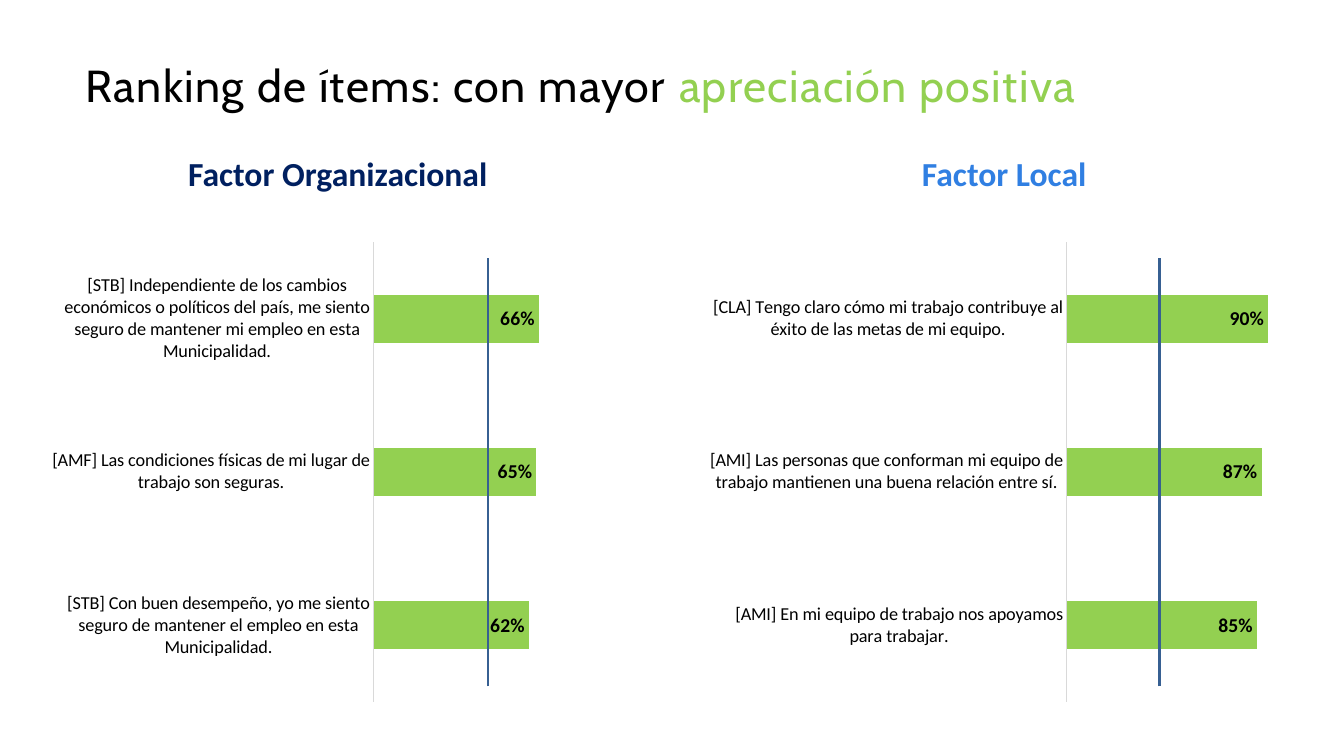
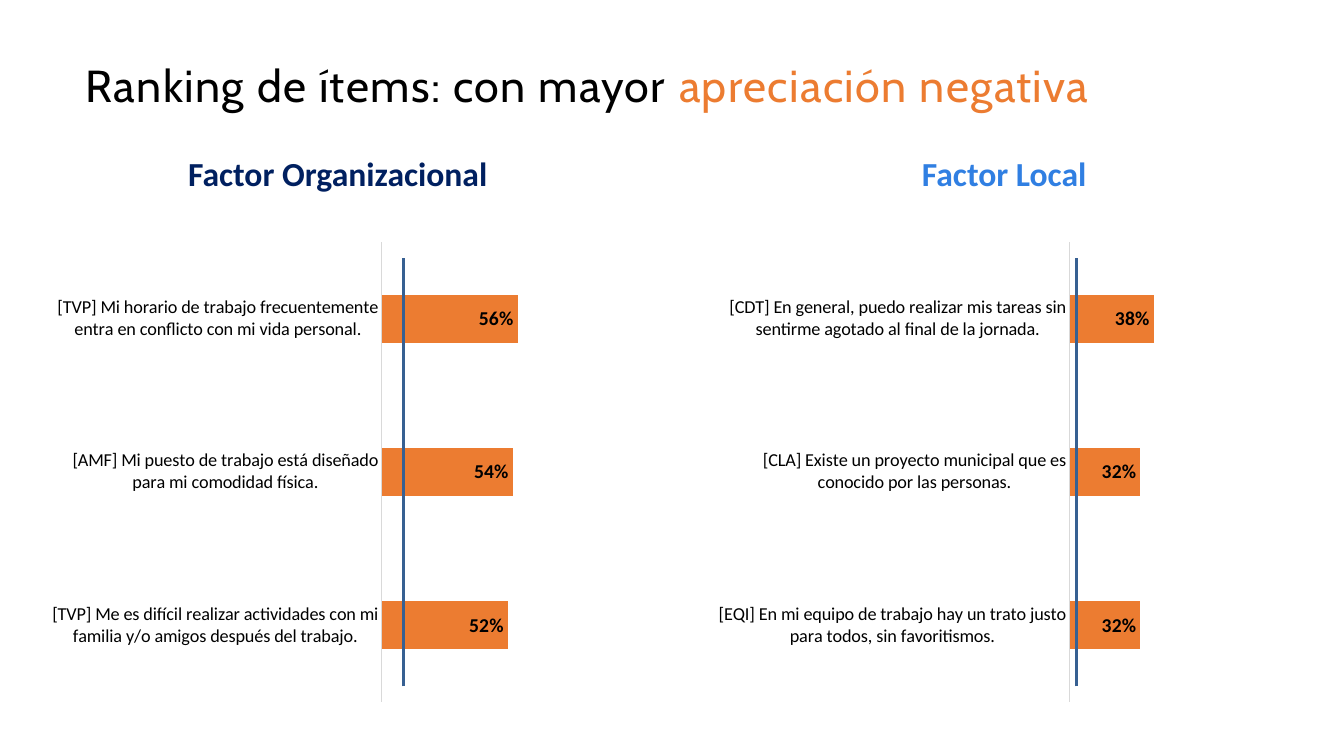
"""Build two ranking slides that compare organisational and local survey items."""
from dataclasses import dataclass

import pptx
import pptx.chart.chart
import pptx.chart.data
import pptx.dml.color
import pptx.enum.chart
import pptx.enum.shapes
import pptx.enum.text
import pptx.oxml
import pptx.oxml.ns
import pptx.slide
import pptx.text.text
import pptx.util

Inches = pptx.util.Inches
Pt = pptx.util.Pt
RGB = pptx.dml.color.RGBColor.from_string


@dataclass(frozen=True)
class Theme:
    title_font: str = "Cabin"
    body_font: str = "Calibri"
    black: str = "000000"
    navy: str = "002060"
    blue: str = "307FE2"
    green: str = "93D051"
    orange: str = "EC7C31"
    axis: str = "D9D9D9"
    marker: str = "376092"
    title_size: float = 32
    heading_size: float = 24
    label_size: float = 14
    category_size: float = 13


@dataclass(frozen=True)
class Column:
    heading: str
    color: str
    heading_left: float
    chart_left: float


@dataclass(frozen=True)
class Panel:
    column: Column
    marker_x: float
    items: tuple[tuple[str, float], ...]


@dataclass(frozen=True)
class Ranking:
    emphasis: str
    color: str
    panels: tuple[Panel, ...]


THEME = Theme()
ORGANIZATION = Column("Factor Organizacional", THEME.navy, 0.83, 0.4)
LOCAL = Column("Factor Local", THEME.blue, 7.44, 7.01)

RANKINGS = (
    Ranking("apreciación positiva", THEME.green, (
        Panel(ORGANIZATION, 4.84, (
            ("[STB] Independiente de los cambios económicos o políticos del país, "
             "me siento seguro de mantener mi empleo en esta Municipalidad.", 0.66),
            ("[AMF] Las condiciones físicas de mi lugar de trabajo son seguras.", 0.65),
            ("[STB] Con buen desempeño, yo me siento seguro de mantener el empleo "
             "en esta Municipalidad.", 0.62),
        )),
        Panel(LOCAL, 11.5, (
            ("[CLA] Tengo claro cómo mi trabajo contribuye al éxito de las metas "
             "de mi equipo.", 0.90),
            ("[AMI] Las personas que conforman mi equipo de trabajo mantienen una "
             "buena relación entre sí.", 0.87),
            ("[AMI] En mi equipo de trabajo nos apoyamos para trabajar.", 0.85),
        )),
    )),
    Ranking("apreciación negativa", THEME.orange, (
        Panel(ORGANIZATION, 4, (
            ("[TVP] Mi horario de trabajo frecuentemente entra en conflicto con "
             "mi vida personal.", 0.56),
            ("[AMF] Mi puesto de trabajo está diseñado para mi comodidad física.", 0.54),
            ("[TVP] Me es difícil realizar actividades con mi familia y/o amigos "
             "después del trabajo.", 0.52),
        )),
        Panel(LOCAL, 10.68, (
            ("[CDT] En general, puedo realizar mis tareas sin sentirme agotado "
             "al final de la jornada.", 0.38),
            ("[CLA] Existe un proyecto municipal que es conocido por las personas.", 0.32),
            ("[EQI] En mi equipo de trabajo hay un trato justo para todos, "
             "sin favoritismos.", 0.32),
        )),
    )),
)


def style_font(font: pptx.text.text.Font, *, size: float, color: str = THEME.black,
               name: str = THEME.body_font, bold: bool = False) -> None:
    font.name = name
    font.size = Pt(size)
    font.bold = bold
    font.color.rgb = RGB(color)


def add_text(s: pptx.slide.Slide, runs: tuple[tuple[str, str], ...], *,
             left: float, top: float, width: float, height: float, size: float,
             name: str = THEME.body_font, bold: bool = False, centered: bool = False,
             inset: bool = True, tracking: float = 0) -> None:
    tf = s.shapes.add_textbox(
        Inches(left), Inches(top), Inches(width), Inches(height)).text_frame
    tf.word_wrap = True
    tf.vertical_anchor = pptx.enum.text.MSO_ANCHOR.MIDDLE
    if not inset:
        tf.margin_left = tf.margin_right = tf.margin_top = tf.margin_bottom = 0
    p = tf.paragraphs[0]
    p.line_spacing = 0.9
    if centered:
        p.alignment = pptx.enum.text.PP_ALIGN.CENTER
    for text, color in runs:
        r = p.add_run()
        r.text = text
        style_font(r.font, size=size, color=color, name=name, bold=bold)
        if tracking:
            r._r.get_or_add_rPr().set("spc", str(round(tracking * 100)))


def style_axes(chart: pptx.chart.chart.Chart) -> None:
    cat = chart.category_axis
    cat.major_tick_mark = cat.minor_tick_mark = pptx.enum.chart.XL_TICK_MARK.NONE
    cat.format.line.color.rgb = RGB(THEME.axis)
    cat.format.line.width = Pt(0.75)
    style_font(cat.tick_labels.font, size=THEME.category_size)
    val = chart.value_axis
    val.minimum_scale, val.maximum_scale = 0, 1
    val.has_major_gridlines = False
    val.visible = False


def add_bars(s: pptx.slide.Slide, panel: Panel, color: str) -> None:
    data = pptx.chart.data.CategoryChartData(number_format="0%")
    ascending = panel.items[::-1]
    data.categories = [label for label, _ in ascending]
    data.add_series("Series 1", [value for _, value in ascending])
    chart = s.shapes.add_chart(
        pptx.enum.chart.XL_CHART_TYPE.BAR_CLUSTERED, Inches(panel.column.chart_left),
        Inches(2.31), Inches(5.91), Inches(4.75), data).chart
    chart.has_legend = chart.has_title = False
    style_font(chart.font, size=10)
    style_axes(chart)
    plot = chart.plots[0]
    plot.gap_width = 219
    plot.vary_by_categories = False
    series = plot.series[0]
    series.format.fill.solid()
    series.format.fill.fore_color.rgb = RGB(color)
    labels = series.data_labels
    labels.show_value = True
    labels.number_format = "0%"
    labels.number_format_is_linked = False
    labels.position = pptx.enum.chart.XL_LABEL_POSITION.INSIDE_END
    style_font(labels.font, size=THEME.label_size, bold=True)


def add_marker(s: pptx.slide.Slide, x: float) -> None:
    line = s.shapes.add_connector(
        pptx.enum.shapes.MSO_CONNECTOR.STRAIGHT,
        Inches(x), Inches(6.81), Inches(x), Inches(2.56))
    line.line.color.rgb = RGB(THEME.marker)
    line.line.width = Pt(2)
    line._element.spPr.append(
        pptx.oxml.parse_xml(f"<a:effectLst {pptx.oxml.ns.nsdecls('a')}/>"))


def add_ranking(prs: pptx.presentation.Presentation, ranking: Ranking) -> None:
    s = prs.slides.add_slide(prs.slide_layouts[6])
    add_text(s, (("Ranking de ítems: con mayor ", THEME.black),
                 (ranking.emphasis, ranking.color)),
             left=0.85, top=0.34, width=11.78, height=1.06, size=THEME.title_size,
             name=THEME.title_font, inset=False, tracking=1)
    for panel in ranking.panels:
        column = panel.column
        add_text(s, ((column.heading, column.color),), left=column.heading_left,
                 top=1.58, width=5.04, height=0.33, size=THEME.heading_size,
                 bold=True, centered=True)
    for panel in ranking.panels:
        add_bars(s, panel, ranking.color)
    for panel in ranking.panels:
        add_marker(s, panel.marker_x)


def main() -> None:
    prs = pptx.Presentation()
    prs.slide_width, prs.slide_height = Inches(13.33), Inches(7.5)
    for ranking in RANKINGS:
        add_ranking(prs, ranking)
    prs.save("out.pptx")


if __name__ == "__main__":
    main()
